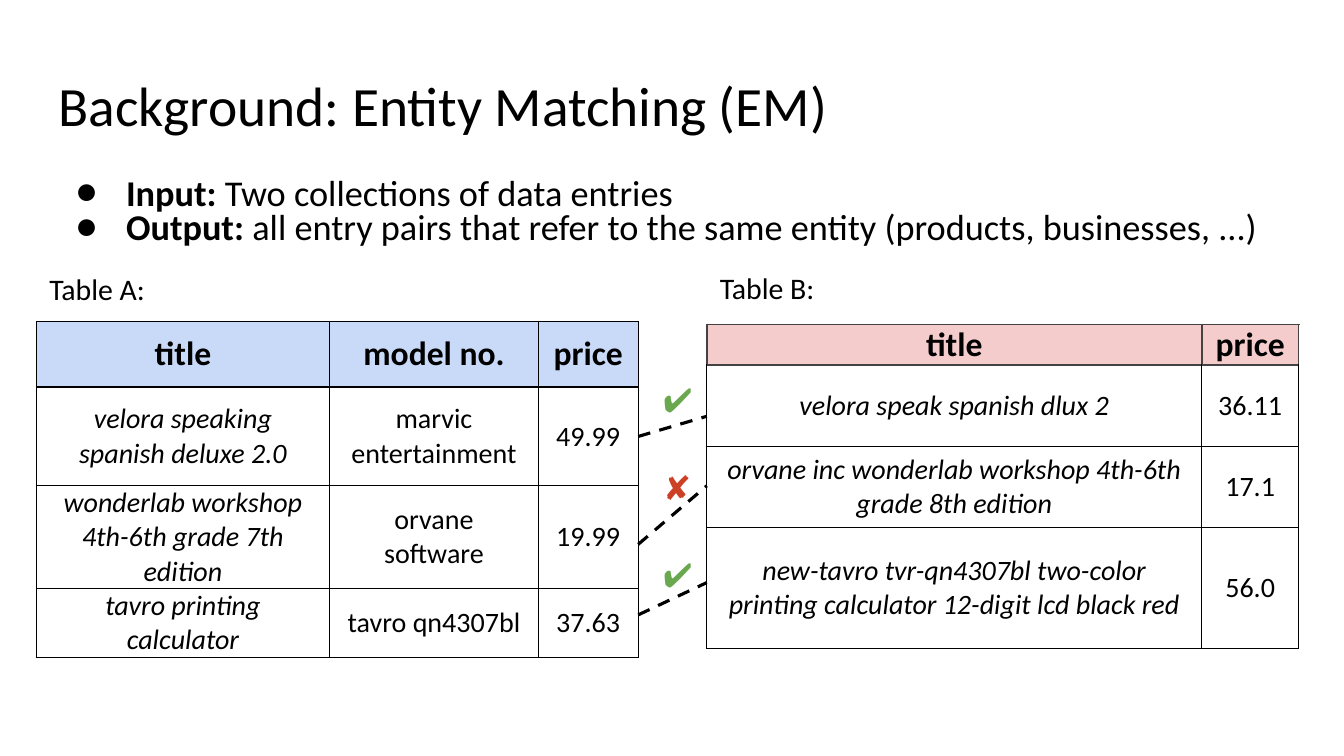
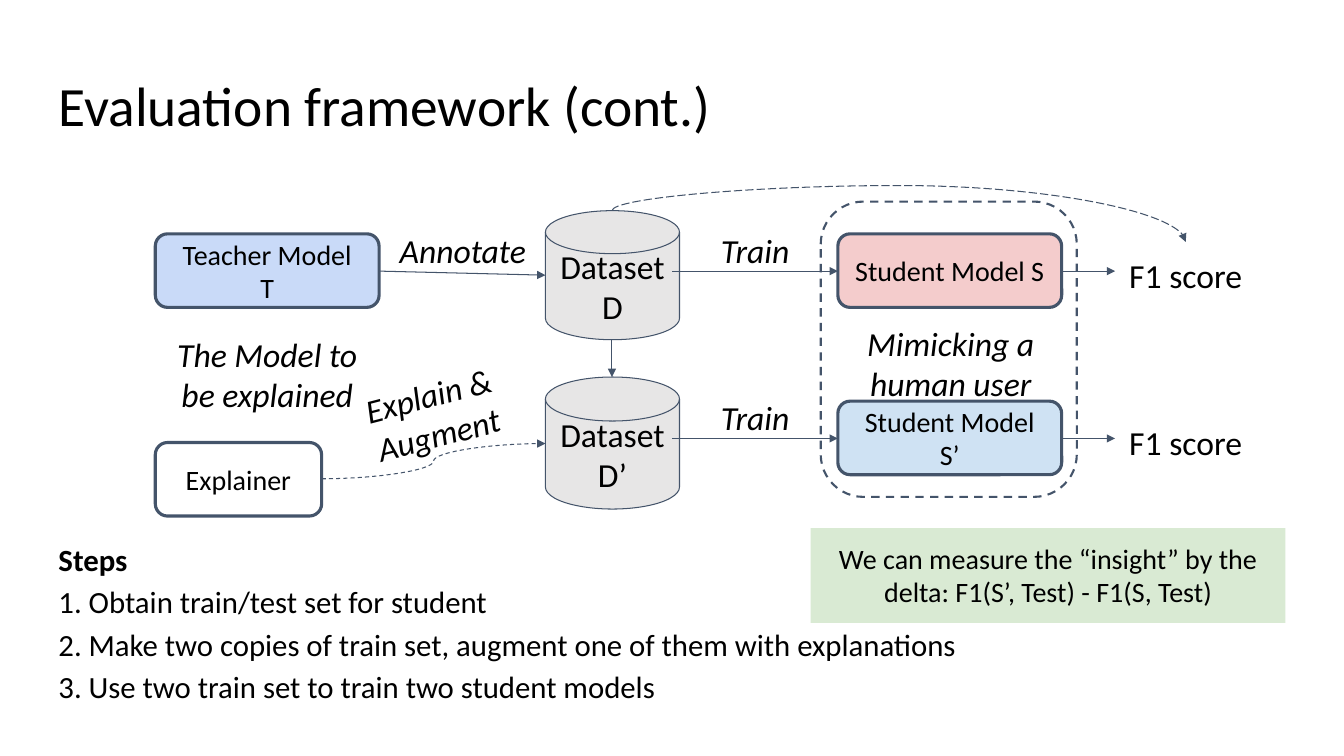
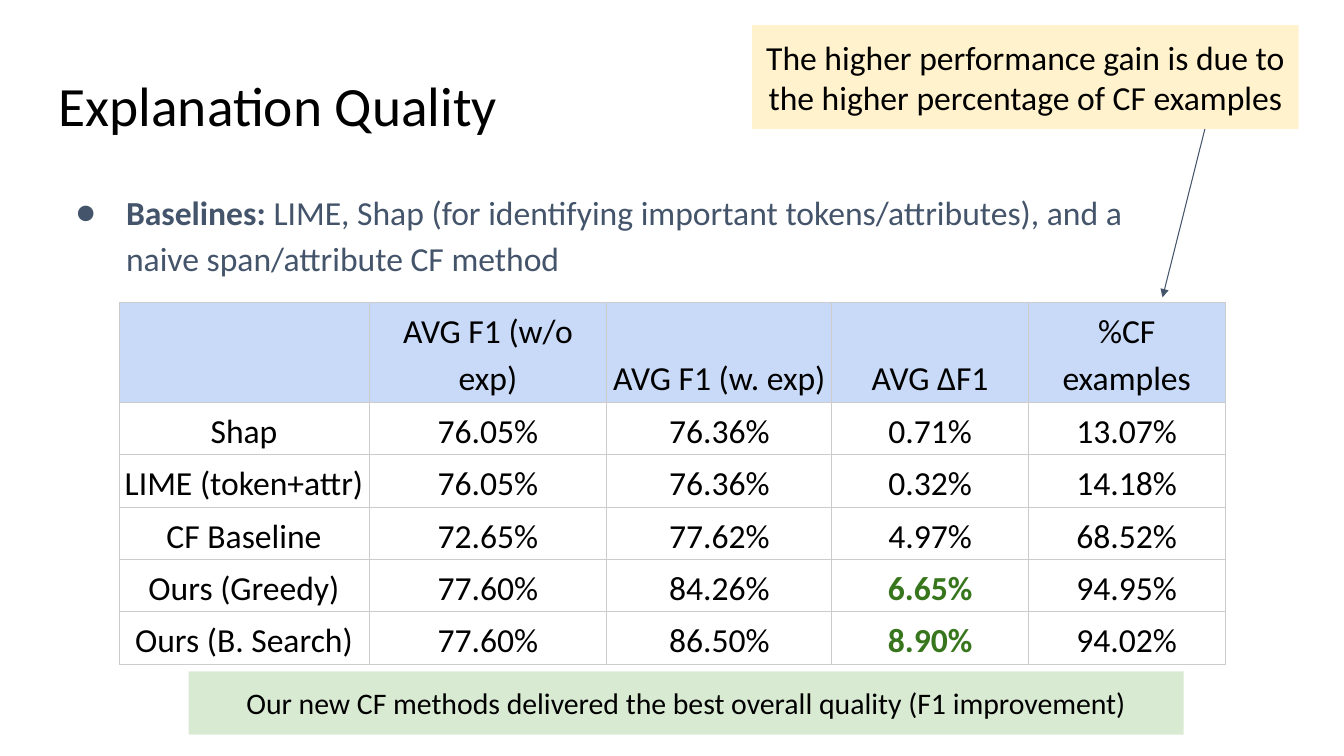
from lxml.etree import SubElement
from pptx import Presentation
from pptx.dml.color import RGBColor
from pptx.enum.dml import MSO_LINE_DASH_STYLE as Dash
from pptx.enum.shapes import MSO_CONNECTOR as Connector, MSO_SHAPE as Preset
from pptx.enum.text import MSO_ANCHOR as Anchor, PP_ALIGN as Align
from pptx.oxml.ns import qn
from pptx.util import Inches, Pt

FONT = "Calibri"
BLACK = RGBColor(0x00, 0x00, 0x00)
CHARCOAL = RGBColor(0x43, 0x43, 0x43)
SILVER = RGBColor(0xCC, 0xCC, 0xCC)
SLATE = RGBColor(0x44, 0x54, 0x6A)
GREY = RGBColor(0xE7, 0xE6, 0xE6)
BLUE = RGBColor(0xC9, 0xDA, 0xF8)
SKY = RGBColor(0xCF, 0xE2, 0xF3)
PINK = RGBColor(0xF4, 0xCC, 0xCC)
MINT = RGBColor(0xD9, 0xEA, 0xD3)
CREAM = RGBColor(0xFF, 0xF2, 0xCC)
GREEN = RGBColor(0x6A, 0xA8, 0x4F)
DARK_GREEN = RGBColor(0x38, 0x76, 0x1D)
RED = RGBColor(0xCC, 0x41, 0x25)

# Paragraphs are strings, or (bold lead, rest) pairs.
MATCHING_POINTS = [
    ("Input:", " Two collections of data entries"),
    ("Output:", " all entry pairs that refer to the same entity (products, businesses, ...)"),
]
TABLE_A = [
    ("title", "model no.", "price"),
    ("velora speaking spanish deluxe 2.0", "marvic entertainment", "49.99"),
    ("wonderlab workshop 4th-6th grade 7th edition", "orvane software", "19.99"),
    ("tavro printing calculator", "tavro qn4307bl", "37.63"),
]
TABLE_B = [
    ("title", "price"),
    ("velora speak spanish dlux 2", "36.11"),
    ("orvane inc wonderlab workshop 4th-6th grade 8th edition", "17.1"),
    ("new-tavro tvr-qn4307bl two-color printing calculator 12-digit lcd black red", "56.0"),
]
# symbol, colour, symbol top, line start height, line end height
MATCHES = [
    ("✔", GREEN, 3.66, 4.33, 4.13),
    ("✘", RED, 4.53, 5.4, 4.82),
    ("✔", GREEN, 5.4, 6.1, 5.78),
]

# dataset, its top and height, student model, its fill
PIPELINES = [
    (["Dataset", "D"], 2.09, 1.28, "Student Model S", PINK),
    (["Dataset", "D’"], 3.74, 1.31, "Student Model S’", SKY),
]
PIPELINE_PITCH = 1.66
# text, left, top, width, height, rotation
DIAGRAM_LABELS = [
    ("The Model to be explained", 1.54, 3.18, 2.22, 1.08, 0),
    ("Annotate", 3.48, 2.15, 2.22, 0.67, 0),
    ("Explain & Augment", 3.19, 3.58, 2.22, 1.08, 345.4),
    ("Mimicking a human user", 8.46, 3.07, 1.94, 1.08, 0),
]
STEPS = [
    ("Steps", ""),
    "1. Obtain train/test set for student",
    "2. Make two copies of train set, augment one of them with explanations",
    "3. Use two train set to train two student models",
]
INSIGHT = "We can measure the “insight” by the delta: F1(S’, Test) - F1(S, Test)"

BASELINES = [(
    "Baselines:",
    " LIME, Shap (for identifying important tokens/attributes), "
    "and a naive span/attribute CF method",
)]
RESULTS = [
    ("", "AVG F1 (w/o exp)", "AVG F1 (w. exp)", "AVG ΔF1", "%CF examples"),
    ("Shap", "76.05%", "76.36%", "0.71%", "13.07%"),
    ("LIME (token+attr)", "76.05%", "76.36%", "0.32%", "14.18%"),
    ("CF Baseline", "72.65%", "77.62%", "4.97%", "68.52%"),
    ("Ours (Greedy)", "77.60%", "84.26%", "6.65%", "94.95%"),
    ("Ours (B. Search)", "77.60%", "86.50%", "8.90%", "94.02%"),
]
BEST_GAINS = ("6.65%", "8.90%")
CF_NOTE = "The higher performance gain is due to the higher percentage of CF examples"
CONCLUSION = "Our new CF methods delivered the best overall quality (F1 improvement)"


def write(frame, paragraphs, size, color=BLACK, align=Align.LEFT, spacing=None,
          bold=False, italic=False, bullet=False):
    for index, content in enumerate(paragraphs):
        paragraph = frame.add_paragraph() if index else frame.paragraphs[0]
        paragraph.alignment = align
        if spacing:
            paragraph.line_spacing = spacing[index] if isinstance(spacing, list) else spacing
        if bullet:
            add_bullet(paragraph, color)
        lead, rest = ("", content) if isinstance(content, str) else content
        for text, is_bold in ((lead, True), (rest, bold)):
            if text:
                run = paragraph.add_run()
                run.text = text
                font = run.font
                font.name, font.size, font.bold, font.italic = FONT, Pt(size), is_bold, italic
                font.color.rgb = color


def add_bullet(paragraph, color):
    properties = paragraph._p.get_or_add_pPr()
    properties.set("marL", str(Inches(0.67)))
    properties.set("indent", str(Inches(-0.5)))
    bullet_color = SubElement(properties, qn("a:buClr"))
    SubElement(bullet_color, qn("a:srgbClr"), val=str(color))
    SubElement(properties, qn("a:buFont"), typeface=FONT)
    SubElement(properties, qn("a:buChar"), char="●")


def set_up_frame(frame, inset, anchor):
    frame.word_wrap = True
    frame.vertical_anchor = anchor
    frame.margin_left = frame.margin_right = Inches(inset)
    frame.margin_top = frame.margin_bottom = Inches(inset)


def add_text(slide, box, paragraphs, size, inset=0.13, rotation=0, **style):
    shape = slide.shapes.add_textbox(*map(Inches, box))
    shape.rotation = rotation
    set_up_frame(shape.text_frame, inset, Anchor.TOP)
    write(shape.text_frame, paragraphs, size, **style)


def add_box(slide, preset, box, paragraphs=(), size=20, fill=None, line_width=0,
            dash=None, anchor=Anchor.MIDDLE):
    shape = slide.shapes.add_shape(preset, *map(Inches, box))
    shape.shadow.inherit = False
    if fill is None:
        shape.fill.background()
    else:
        shape.fill.solid()
        shape.fill.fore_color.rgb = fill
    if line_width:
        shape.line.color.rgb = SLATE
        shape.line.width = Pt(line_width)
        shape.line.dash_style = dash
    else:
        shape.line.fill.background()
    set_up_frame(shape.text_frame, 0.13, anchor)
    write(shape.text_frame, paragraphs, size, align=Align.CENTER)


def add_line(slide, start, end, color=SLATE, width=0.75, dash=None, arrow=True,
             kind=Connector.STRAIGHT):
    connector = slide.shapes.add_connector(kind, *map(Inches, (*start, *end)))
    connector.line.color.rgb = color
    connector.line.width = Pt(width)
    connector.line.dash_style = dash
    properties = connector._element.spPr
    if arrow:
        SubElement(properties.find(qn("a:ln")), qn("a:tailEnd"), type="triangle")
    SubElement(properties, qn("a:effectLst"))
    return connector


def add_arch(slide, start, end, rise):
    """Curved arrow that leaves start upwards, by rise, and comes down on end."""
    (x1, y1), (x2, y2) = start, end
    middle_x, middle_y = (x1 + x2) / 2, (y1 + y2) / 2
    half_width, half_height = (y2 - y1) / 2, (x2 - x1) / 2
    arch = add_line(slide, (middle_x + half_width, middle_y - half_height),
                    (middle_x - half_width, middle_y + half_height),
                    dash=Dash.LONG_DASH, kind=Connector.CURVE)
    properties = arch._element.spPr
    properties.find(qn("a:xfrm")).set("rot", str(270 * 60000))
    adjustments = properties.find(qn("a:prstGeom")).find(qn("a:avLst"))
    bend = round(-rise / (y2 - y1) * 100000)
    SubElement(adjustments, qn("a:gd"), name="adj1", fmla=f"val {bend}")


def set_borders(cell, color, width, sides="LRTB"):
    properties = cell._tc.get_or_add_tcPr()
    for position, side in enumerate(sides):
        line = properties.makeelement(qn(f"a:ln{side}"), {"w": str(Pt(width))})
        properties.insert(position, line)
        fill = SubElement(line, qn("a:solidFill"))
        SubElement(fill, qn("a:srgbClr"), val=str(color))


def add_grid(slide, left, top, widths, heights, rows, header_fill, border, insets,
             anchor, cell_style, header_border=None):
    """Table; cell_style(row, column, text) gives the keywords for write."""
    box = (left, top, sum(widths), sum(heights))
    table = slide.shapes.add_table(len(rows), len(widths), *map(Inches, box)).table
    table.first_row = table.horz_banding = False
    for column, width in zip(table.columns, widths):
        column.width = Inches(width)
    for row, height in zip(table.rows, heights):
        row.height = Inches(height)
    for r, row in enumerate(rows):
        for c, text in enumerate(row):
            cell = table.cell(r, c)
            cell.vertical_anchor = anchor
            cell.margin_left = cell.margin_right = Inches(insets[0])
            cell.margin_top = cell.margin_bottom = Inches(insets[1])
            if r:
                cell.fill.background()
            else:
                cell.fill.solid()
                cell.fill.fore_color.rgb = header_fill
            set_borders(cell, *(header_border if header_border and not r else border))
            write(cell.text_frame, [text], align=Align.CENTER, **cell_style(r, c, text))


def entry_style(row, column, text):
    if row == 0:
        return {"size": 24, "bold": True}
    return {"size": 20, "italic": column == 0}


def result_style(row, column, text):
    best = text in BEST_GAINS
    return {"size": 24, "spacing": 1.15, "bold": best, "color": DARK_GREEN if best else BLACK}


def add_titled_slide(presentation, title):
    slide = presentation.slides.add_slide(presentation.slide_layouts[6])
    add_text(slide, (0.45, 0.65, 12.42, 0.84), [title], 39.6, spacing=0.9)
    return slide


def build_matching(presentation):
    slide = add_titled_slide(presentation, "Background: Entity Matching (EM)")
    entry_grid = {"border": (BLACK, 1), "insets": (0.13, 0), "anchor": Anchor.MIDDLE,
                  "cell_style": entry_style}
    add_grid(slide, 0.36, 3.19, (2.91, 2.07, 0.99), (0.65, 0.98, 1.02, 0.68),
             TABLE_A, BLUE, **entry_grid)
    add_grid(slide, 7.01, 3.22, (4.91, 0.96), (0.4, 0.81, 0.8, 1.2),
             TABLE_B, PINK, header_border=(CHARCOAL, 1.5), **entry_grid)
    for caption, left, top in (("Table A:", 0.36, 2.56), ("Table B:", 7.01, 2.55)):
        add_text(slide, (left, top, 1.4, 0.6), [caption], 21.3)
    add_text(slide, (0.45, 1.68, 12.42, 1.14), MATCHING_POINTS, 25.9,
             spacing=[0.7, 0.8], bullet=True)
    for symbol, color, top, start_y, end_y in MATCHES:
        add_line(slide, (6.33, start_y), (7.01, end_y), BLACK, 2.25, Dash.DASH, arrow=False)
        add_text(slide, (6.48, top, 0.37, 0.63), [symbol], 24, inset=0.1, color=color)


def build_framework(presentation):
    slide = add_titled_slide(presentation, "Evaluation framework (cont.)")
    add_box(slide, Preset.ROUNDED_RECTANGLE, (1.54, 2.32, 2.22, 0.73),
            ["Teacher Model", "T"], fill=BLUE, line_width=2.25)
    add_box(slide, Preset.ROUNDED_RECTANGLE, (1.54, 4.39, 1.65, 0.73),
            ["Explainer"], line_width=2.25)
    for index, (dataset, top, height, student, fill) in enumerate(PIPELINES):
        offset = index * PIPELINE_PITCH
        arrow_y = 2.69 + offset
        add_box(slide, Preset.FLOWCHART_MAGNETIC_DISK, (5.41, top, 1.33, height),
                dataset, 24, GREY, 0.75)
        add_box(slide, Preset.ROUNDED_RECTANGLE, (8.31, 2.32 + offset, 2.22, 0.73),
                [student], fill=fill, line_width=2.25)
        add_line(slide, (6.67, arrow_y), (8.31, arrow_y))
        add_line(slide, (10.54, arrow_y), (11.06, arrow_y))
        add_text(slide, (6.38, 2.15 + offset, 2.22, 0.67), ["Train"], 24,
                 align=Align.CENTER, italic=True)
        add_text(slide, (11.06, 2.4 + offset, 1.4, 0.67), ["F1 score"], 24,
                 align=Align.CENTER)
    add_line(slide, (3.77, 2.69), (5.41, 2.73))
    add_line(slide, (6.07, 3.37), (6.07, 3.74))
    add_line(slide, (3.19, 4.75), (5.41, 4.4), dash=Dash.DASH, kind=Connector.CURVE)
    add_arch(slide, (6.07, 2.09), (11.76, 2.4), 0.25)
    for text, left, top, width, height, rotation in DIAGRAM_LABELS:
        add_text(slide, (left, top, width, height), [text], 24, rotation=rotation,
                 align=Align.CENTER, italic=True)
    add_box(slide, Preset.ROUNDED_RECTANGLE, (8.14, 2, 2.54, 2.93),
            line_width=1.5, dash=Dash.DASH)
    add_box(slide, Preset.RECTANGLE, (8.04, 5.24, 4.71, 0.94), [INSIGHT], fill=MINT,
            anchor=Anchor.TOP)
    add_text(slide, (0.45, 5.18, 9.35, 1.97), STEPS, 22, spacing=1.15)


def build_quality(presentation):
    slide = add_titled_slide(presentation, "Explanation Quality")
    add_grid(slide, 1.18, 3, (2.48, 2.36, 2.23, 1.95, 1.95), [0.99] + [0.52] * 5,
             RESULTS, BLUE, (SILVER, 0.75), (0.04, 0.03), Anchor.BOTTOM, result_style)
    add_text(slide, (0.45, 1.71, 11.32, 1.2), BASELINES, 24, color=SLATE,
             spacing=1.15, bullet=True)
    add_box(slide, Preset.RECTANGLE, (1.87, 6.66, 9.87, 0.63), [CONCLUSION], 21.3, MINT,
            anchor=Anchor.TOP)
    add_box(slide, Preset.RECTANGLE, (7.46, 0.25, 5.42, 1.03), [CF_NOTE], 24, CREAM)
    add_line(slide, (11.95, 1.28), (11.53, 2.95))


def main():
    presentation = Presentation()
    presentation.slide_width = Inches(13.33)
    presentation.slide_height = Inches(7.5)
    build_matching(presentation)
    build_framework(presentation)
    build_quality(presentation)
    presentation.save("out.pptx")


if __name__ == "__main__":
    main()
